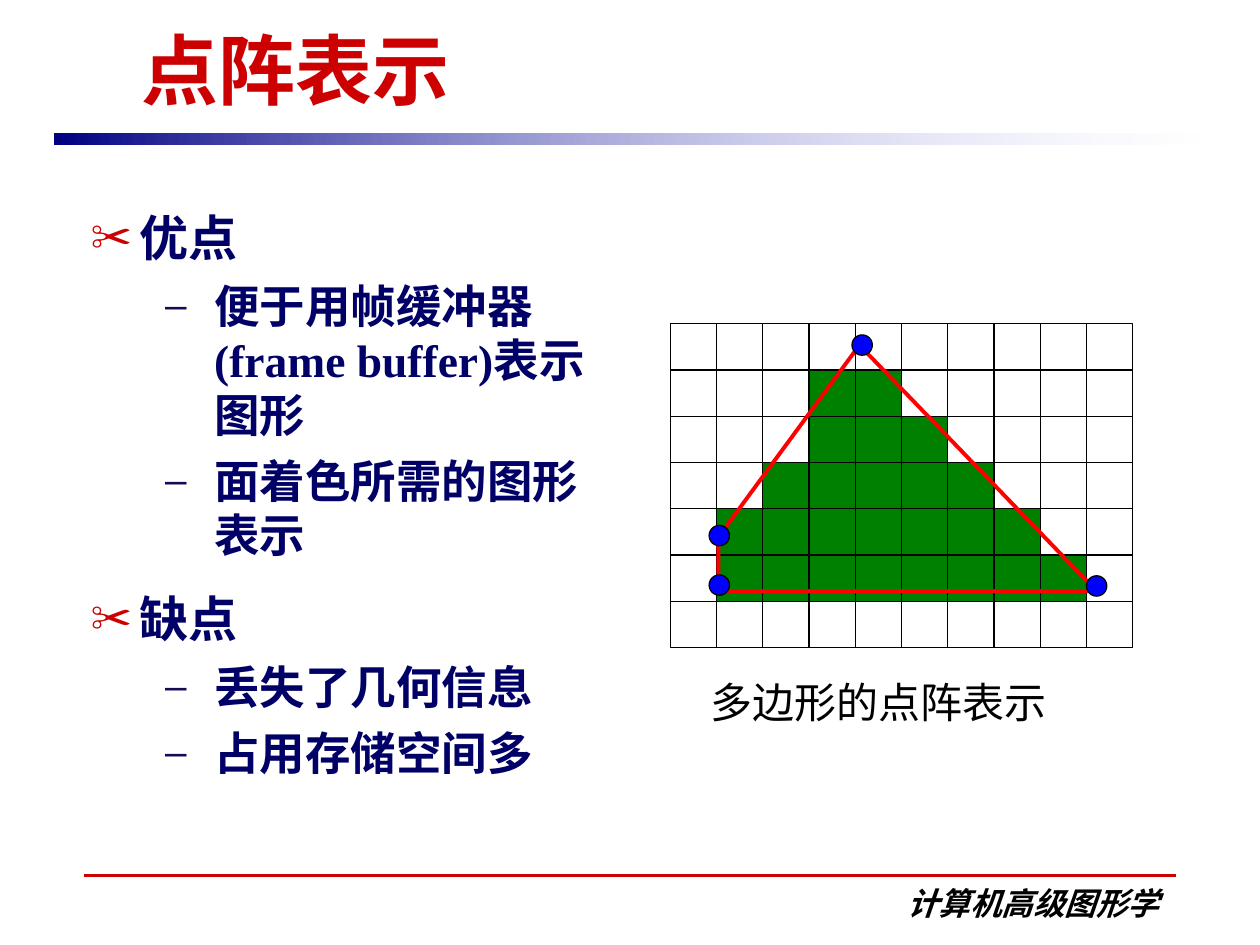
from dataclasses import dataclass
from typing import Optional

from lxml.etree import SubElement
from pptx import Presentation
from pptx.dml.color import RGBColor
from pptx.enum.shapes import MSO_CONNECTOR, MSO_SHAPE
from pptx.enum.text import MSO_ANCHOR, MSO_AUTO_SIZE, PP_ALIGN
from pptx.oxml.ns import qn
from pptx.util import Inches, Pt

WIDE, HIGH = 10, 7.5
SERIF, HAN = "Times New Roman", "Noto Sans CJK SC"
RED, NAVY, BLACK = "CC0000", "000066", "000000"

# Grid of the raster figure, in inches
LEFT, TOP, CELL = 5.32, 2.57, 0.367
COLS, ROWS = 10, 7


@dataclass
class Level:
    mark: str
    tint: str
    size: float
    inset: float
    lead: float
    gap: float


@dataclass
class Item:
    text: str
    level: int = 1


@dataclass
class Dot:
    col: float
    row: float


LEVELS = [
    Level("✂", RED, 28, 0.39, 1.1, 12),
    Level("–", "140C52", 26, 0.98, 1.0, 6.5),
]
ITEMS = [
    Item("优点", 0),
    Item("便于用帧缓冲器(frame buffer)表示图形"),
    Item("面着色所需的图形表示"),
    Item("缺点", 0),
    Item("丢失了几何信息"),
    Item("占用存储空间多"),
]
# Filled columns of each row: first and one past the last
SPANS = {1: (3, 5), 2: (3, 6), 3: (2, 7), 4: (1, 8), 5: (1, 9)}
EDGES = [Dot(4.09, 0.46), Dot(1.04, 4.61), Dot(1.04, 5.78), Dot(9.22, 5.78)]
DOTS = [Dot(4.15, 0.46), Dot(1.06, 4.58), Dot(1.06, 5.65), Dot(9.22, 5.67)]
SPOT = 0.44  # dot width in cells


def rgb(code: str) -> RGBColor:
    return RGBColor.from_string(code)


def grid_x(col: float) -> int:
    return Inches(LEFT + col * CELL)


def grid_y(row: float) -> int:
    return Inches(TOP + row * CELL)


def place(shape, left: float, top: float, width: float, height: float) -> None:
    """Set a box given as shares of the slide's size."""
    shape.left, shape.width = Inches(left * WIDE), Inches(width * WIDE)
    shape.top, shape.height = Inches(top * HIGH), Inches(height * HIGH)


def add_run(para, text: str, size: float, tint: str, bold=True,
            slant=False, face: str = SERIF) -> None:
    run = para.add_run()
    run.text = text
    font = run.font
    font.name, font.size = face, Pt(size)
    font.bold, font.italic = bold, slant
    font.color.rgb = rgb(tint)
    SubElement(font._element, qn("a:ea")).set("typeface", HAN)


def add_mark(para, level: Level) -> None:
    props = para._p.get_or_add_pPr()
    props.set("marL", str(Inches(level.inset)))
    props.set("indent", str(Inches(-0.39)))
    tint = SubElement(props, qn("a:buClr"))
    SubElement(tint, qn("a:srgbClr")).set("val", level.tint)
    SubElement(props, qn("a:buSzPct")).set("val", "85000")
    SubElement(props, qn("a:buChar")).set("char", level.mark)


def add_cell(shapes, kind, col: float, row: float, side: float,
             fill: Optional[str]) -> None:
    shape = shapes.add_shape(kind, grid_x(col), grid_y(row),
                             Inches(side * CELL), Inches(side * CELL))
    style(shape, fill, BLACK, 0.75)


def style(shape, fill: Optional[str], line: str, width: float) -> None:
    shape.shadow.inherit = False
    if fill:
        shape.fill.solid()
        shape.fill.fore_color.rgb = rgb(fill)
    else:
        shape.fill.background()
    shape.line.color.rgb = rgb(line)
    shape.line.width = Pt(width)


def add_label(shapes, box: tuple, align):
    shape = shapes.add_textbox(0, 0, 0, 0)
    place(shape, *box)
    frame = shape.text_frame
    frame.word_wrap = True
    frame.auto_size = MSO_AUTO_SIZE.SHAPE_TO_FIT_TEXT
    para = frame.paragraphs[0]
    para.alignment = align
    return para


def add_frame(slide) -> None:
    # Footer rule
    rule = slide.shapes.add_connector(
        MSO_CONNECTOR.STRAIGHT, Inches(0.067 * WIDE), Inches(6.95),
        Inches(0.933 * WIDE), Inches(6.95))
    rule.line.color.rgb = rgb(RED)
    rule.line.width = Pt(1.75)
    SubElement(rule._element.spPr, qn("a:effectLst"))

    # Fading bar under the title
    bar = slide.shapes.add_shape(MSO_SHAPE.RECTANGLE, 0, 0, 0, 0)
    place(bar, 0.043, 1.06 / HIGH, 0.914, 0.09 / HIGH)
    bar.shadow.inherit = False
    bar.line.fill.background()
    bar.fill.gradient()
    bar.fill.gradient_angle = 0
    for stop, tint, spot in zip(bar.fill.gradient_stops,
                                ("000082", "CCCCFF"), (0, 1)):
        stop.color.rgb = rgb(tint)
        stop.position = spot
    last = bar._element.spPr.findall(".//" + qn("a:srgbClr"))[-1]
    SubElement(last, qn("a:alpha")).set("val", "0")

    # Course name
    para = add_label(slide.shapes, (0.658, 6.97 / HIGH, 0.272, 0.4 / HIGH),
                     PP_ALIGN.RIGHT)
    add_run(para, "计算机高级图形学", 18, BLACK, slant=True, face=HAN)


def add_words(slide) -> None:
    # Title
    title = slide.shapes.title
    place(title, 0.102, 0.13 / HIGH, 0.835, 0.83 / HIGH)
    frame = title.text_frame
    frame.auto_size = MSO_AUTO_SIZE.NONE
    frame.vertical_anchor = MSO_ANCHOR.BOTTOM
    frame.paragraphs[0].alignment = PP_ALIGN.LEFT
    add_run(frame.paragraphs[0], "点阵表示", 44, RED)

    # List of pros and cons
    body = slide.placeholders[1]
    place(body, 0.062, 1.55 / HIGH, 0.438, 5.08 / HIGH)
    frame = body.text_frame
    frame.auto_size = MSO_AUTO_SIZE.NONE
    for place_no, item in enumerate(ITEMS):
        para = frame.add_paragraph() if place_no else frame.paragraphs[0]
        level = LEVELS[item.level]
        add_mark(para, level)
        para.level = item.level
        para.line_spacing = level.lead
        para.space_before = Pt(level.gap if place_no else 0)
        add_run(para, item.text, level.size, NAVY)


def add_figure(slide) -> None:
    shapes = slide.shapes.add_group_shape().shapes

    # Pixel grid
    for col in range(COLS):
        for row in range(ROWS):
            first, end = SPANS.get(row, (0, 0))
            fill = "008000" if first <= col < end else None
            add_cell(shapes, MSO_SHAPE.RECTANGLE, col, row, 1, fill)

    # Polygon and its corners
    points = [(grid_x(dot.col), grid_y(dot.row)) for dot in EDGES]
    pen = shapes.build_freeform(*points[0])
    pen.add_line_segments(points[1:], close=True)
    style(pen.convert_to_shape(), None, "FF0000", 2.25)
    for dot in DOTS:
        add_cell(shapes, MSO_SHAPE.OVAL, dot.col - SPOT / 2,
                 dot.row - SPOT / 2, SPOT, "0000FF")

    # Caption
    para = add_label(shapes, (0.54, 5.32 / HIGH, 0.315, 0.5 / HIGH),
                     PP_ALIGN.CENTER)
    add_run(para, "多边形的点阵表示", 24, BLACK, bold=False)


def main() -> None:
    deck = Presentation()
    deck.slide_width, deck.slide_height = Inches(WIDE), Inches(HIGH)
    slide = deck.slides.add_slide(deck.slide_layouts[1])
    add_frame(slide)
    add_words(slide)
    add_figure(slide)
    deck.save("out.pptx")


if __name__ == "__main__":
    main()
